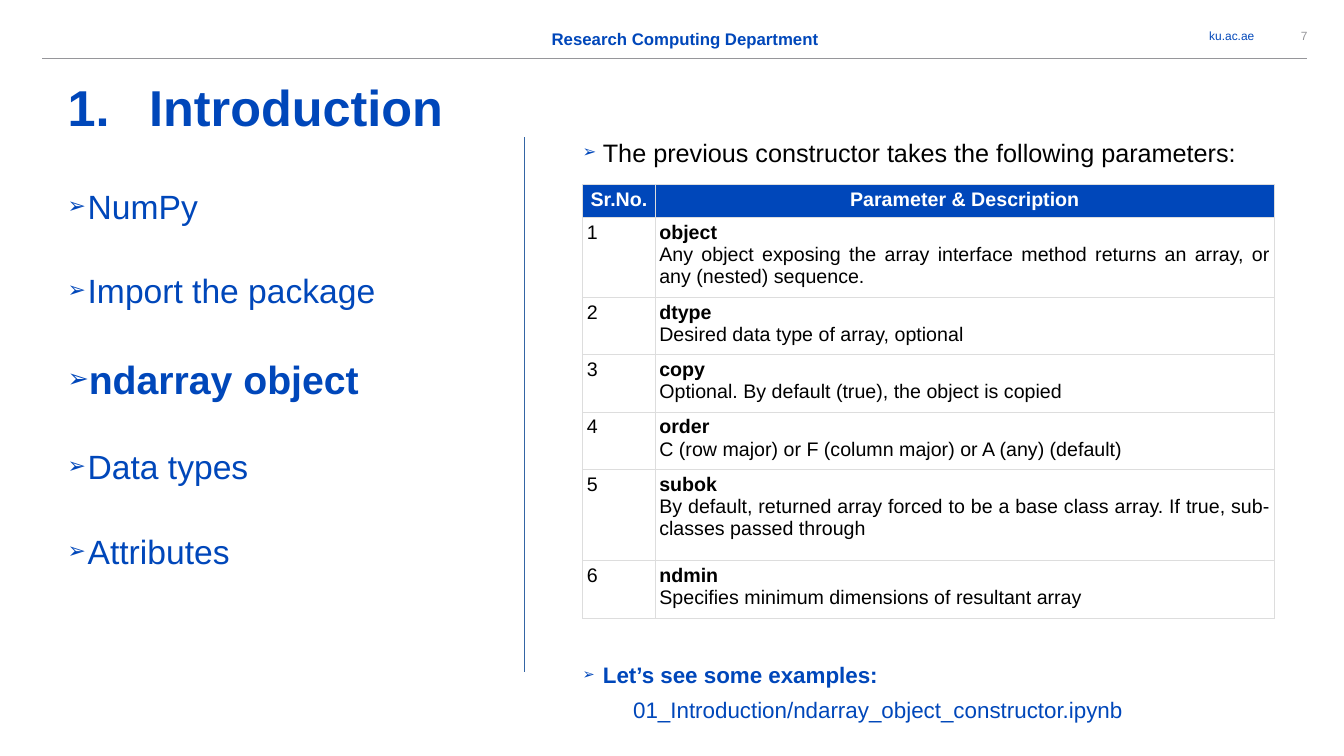
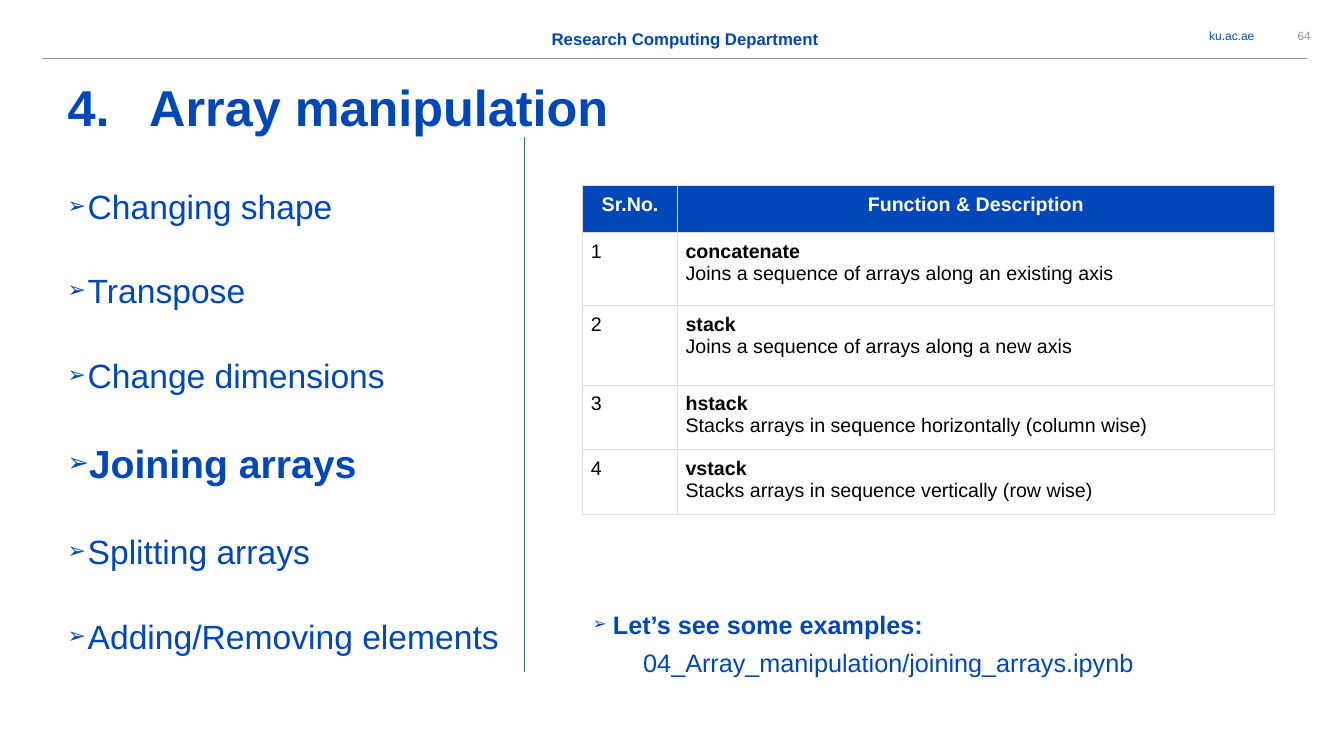
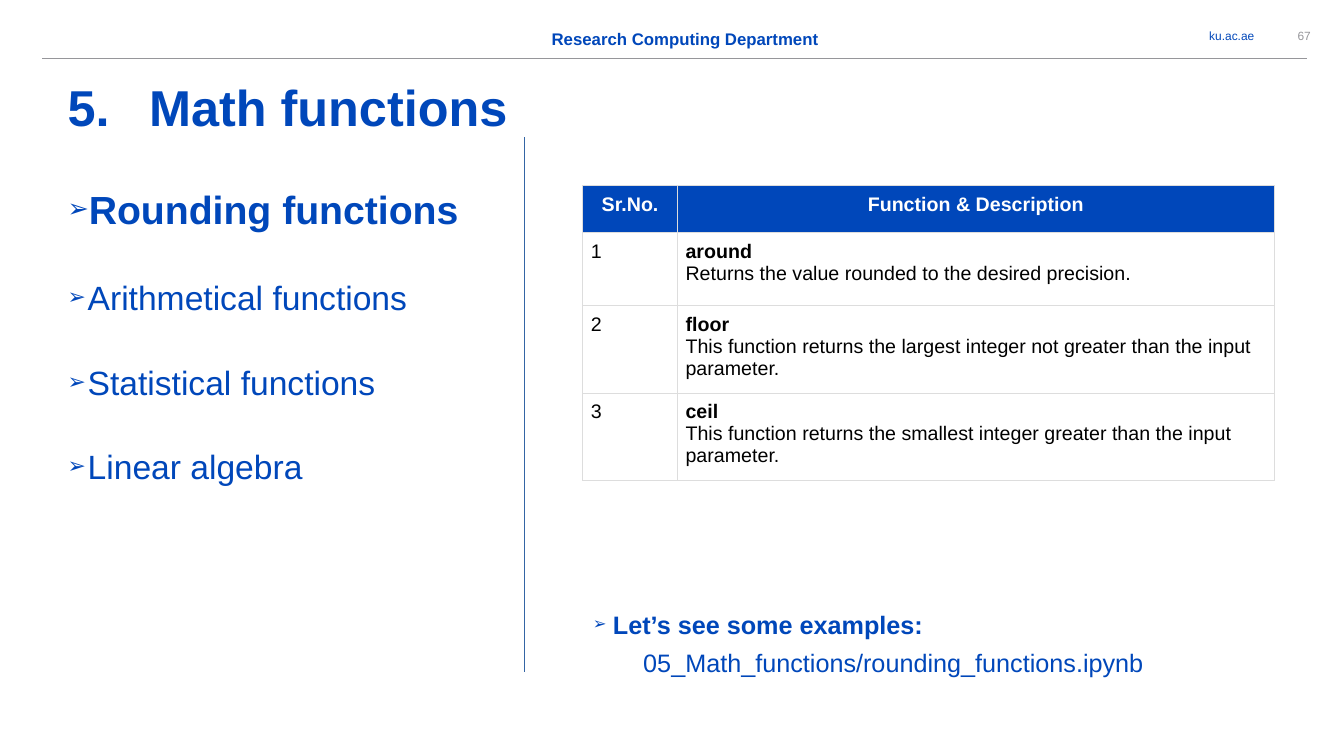
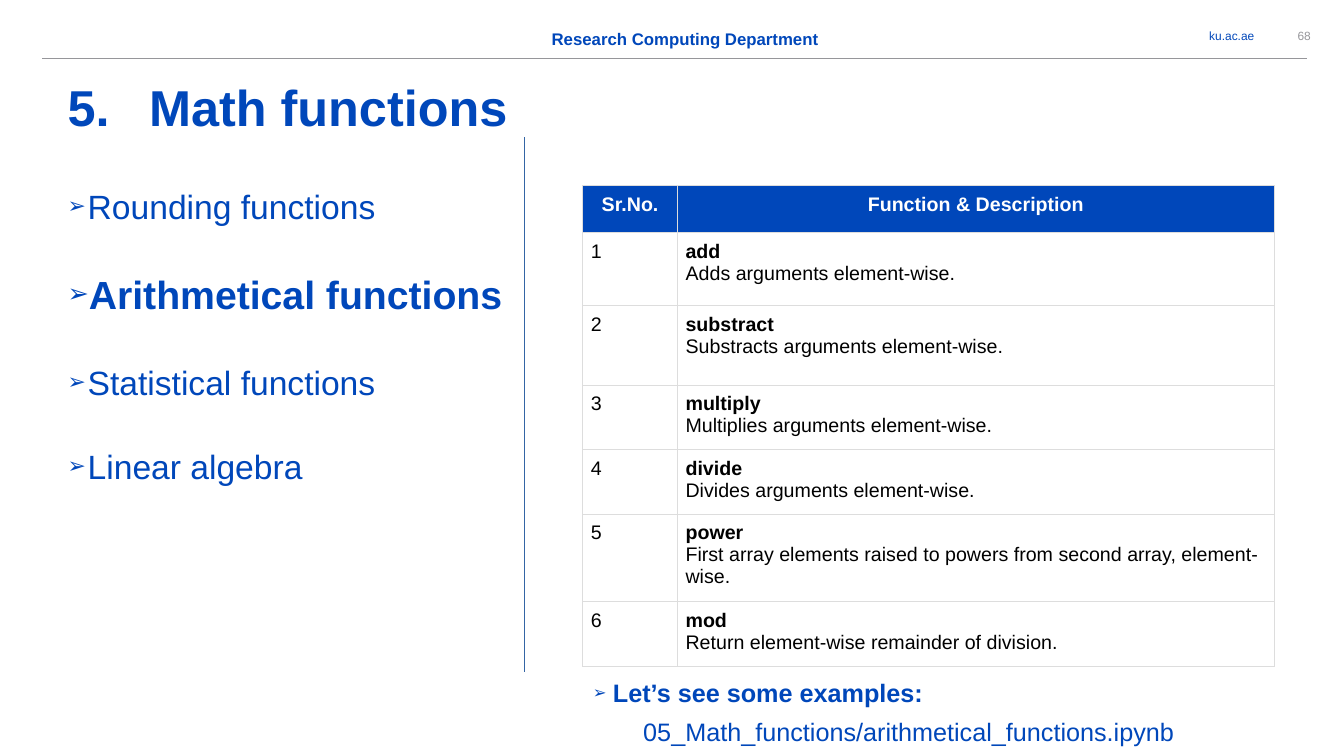
from lxml import etree
from pptx import Presentation
from pptx.dml.color import RGBColor
from pptx.enum import shapes, text
from pptx.oxml import parse_xml
from pptx.oxml.ns import nsdecls
from pptx.util import Inches, Pt

BLUE, GRAY, RULE, GRID = "0047BA", "96969A", "3465A4", "DDDDDD"
WHITE, BLACK = "FFFFFF", "000000"
FONT = "Arial"
LEFT, CENTER = text.PP_ALIGN.LEFT, text.PP_ALIGN.CENTER
RIGHT, JUSTIFY = text.PP_ALIGN.RIGHT, text.PP_ALIGN.JUSTIFY
NS = nsdecls("a")
ARROW = [
    f'<a:buClr {NS}><a:srgbClr val="{BLUE}"/></a:buClr>',
    f'<a:buSzPct {NS} val="65000"/>',
    f'<a:buFont {NS} typeface="{FONT}"/>',
    f'<a:buChar {NS} char="➢"/>',
]
color_of = RGBColor.from_string

CHAPTERS = [
    dict(
        page="7", number=1, title="Introduction",
        topics=["NumPy", "Import the package", "ndarray object", "Data types", "Attributes"],
        current="ndarray object",
        intro="The previous constructor takes the following parameters:",
        heading="Parameter & Description",
        entries=[
            ("object", "Any object exposing the array interface method returns an array, "
                       "or any (nested) sequence."),
            ("dtype", "Desired data type of array, optional"),
            ("copy", "Optional. By default (true), the object is copied"),
            ("order", "C (row major) or F (column major) or A (any) (default)"),
            ("subok", "By default, returned array forced to be a base class array. "
                      "If true, sub-classes passed through"),
            ("ndmin", "Specifies minimum dimensions of resultant array"),
        ],
        top=1.83, columns=[0.72, 6.14], margin=0.04, align=JUSTIFY,
        rows=[0.33, 0.79, 0.57, 0.57, 0.57, 0.9, 0.58],
        notebook="01_Introduction/ndarray_object_constructor.ipynb",
        notebook_at=(5.78, 6.56), notebook_size=16,
    ),
    dict(
        page="64", number=4, title="Array manipulation",
        topics=["Changing shape", "Transpose", "Change dimensions", "Joining arrays",
                "Splitting arrays", "Adding/Removing elements"],
        current="Joining arrays",
        entries=[
            ("concatenate", "Joins a sequence of arrays along an existing axis"),
            ("stack", "Joins a sequence of arrays along a new axis"),
            ("hstack", "Stacks arrays in sequence horizontally (column wise)"),
            ("vstack", "Stacks arrays in sequence vertically (row wise)"),
        ],
        rows=[0.47, 0.72, 0.79, 0.64, 0.64],
        notebook="04_Array_manipulation/joining_arrays.ipynb",
    ),
    dict(
        page="67", number=5, title="Math functions",
        topics=["Rounding functions", "Arithmetical functions", "Statistical functions",
                "Linear algebra"],
        current="Rounding functions",
        entries=[
            ("around", "Returns the value rounded to the desired precision."),
            ("floor", "This function returns the largest integer not greater than "
                      "the input parameter."),
            ("ceil", "This function returns the smallest integer greater than "
                     "the input parameter."),
        ],
        rows=[0.47, 0.72, 0.87, 0.87],
        notebook="05_Math_functions/rounding_functions.ipynb",
    ),
    dict(
        page="68", number=5, title="Math functions",
        topics=["Rounding functions", "Arithmetical functions", "Statistical functions",
                "Linear algebra"],
        current="Arithmetical functions",
        entries=[
            ("add", "Adds arguments element-wise."),
            ("substract", "Substracts arguments element-wise."),
            ("multiply", "Multiplies arguments element-wise."),
            ("divide", "Divides arguments element-wise."),
            ("power", "First array elements raised to powers from second array, element-wise."),
            ("mod", "Return element-wise remainder of division."),
        ],
        rows=[0.47, 0.72, 0.79, 0.64, 0.64, 0.87, 0.64],
        notebook="05_Math_functions/arithmetical_functions.ipynb",
        notebook_at=(5.88, 6.72),
    ),
]
DEFAULTS = dict(
    intro=None, heading="Function & Description", top=1.84, columns=[0.94, 5.92],
    margin=0.08, align=LEFT, notebook_at=(5.88, 6.04), notebook_size=18,
)


def add_frame(slide, left, top, width, height, anchor=text.MSO_ANCHOR.TOP):
    """Add a wrapping text box without margins and return its text frame."""
    box = slide.shapes.add_textbox(Inches(left), Inches(top), Inches(width), Inches(height))
    frame = box.text_frame
    frame.word_wrap = True
    frame.vertical_anchor = anchor
    frame.margin_left = frame.margin_top = frame.margin_right = frame.margin_bottom = 0
    return frame


def write(frame, line, size, color=BLUE, bold=False, align=LEFT, before=0, indent=0, bullet=()):
    """Fill the empty first paragraph of the frame, or append one spaced from the last."""
    paragraph = frame.paragraphs[0]
    if paragraph.runs:
        paragraph = frame.add_paragraph()
        paragraph.space_before = Pt(before)
    paragraph.text = line
    paragraph.alignment = align
    properties = paragraph._p.get_or_add_pPr()
    if indent:
        properties.set("marL", str(Inches(indent)))
        properties.set("indent", str(Inches(-indent if bullet else 0)))
    for element in bullet:
        properties.append(parse_xml(element))
    font = paragraph.runs[0].font
    font.name, font.size, font.bold = FONT, Pt(size), bold
    font.color.rgb = color_of(color)


prs = Presentation()
prs.slide_width, prs.slide_height = Inches(13.33), Inches(7.5)
MIDDLE = text.MSO_ANCHOR.MIDDLE

for chapter in CHAPTERS:
    chapter = DEFAULTS | chapter
    slide = prs.slides.add_slide(prs.slide_layouts[6])

    # Header band, title and dividers
    write(add_frame(slide, 11.39, 0.22, 1.05, 0.26, MIDDLE), "ku.ac.ae", 8.5, align=RIGHT)
    write(add_frame(slide, 12.65, 0.22, 0.57, 0.26, MIDDLE), chapter["page"], 8.5, GRAY,
          align=CENTER)
    write(add_frame(slide, 5.2, 0.29, 3.19, 0.2), "Research Computing Department", 12,
          bold=True, align=CENTER)
    numbering = [f'<a:buFont {NS} typeface="{FONT}"/>',
                 f'<a:buAutoNum {NS} type="arabicPeriod" startAt="{chapter["number"]}"/>']
    write(add_frame(slide, 0.67, 0.76, 11.99, 0.61), chapter["title"], 36, bold=True,
          indent=0.81, bullet=numbering)
    for x1, y1, x2, y2, color in [(0.42, 0.58, 12.96, 0.58, GRAY), (5.2, 1.36, 5.2, 6.67, RULE)]:
        divider = slide.shapes.add_connector(
            shapes.MSO_CONNECTOR.STRAIGHT, Inches(x1), Inches(y1), Inches(x2), Inches(y2))
        divider.line.color.rgb = color_of(color)
        divider.line.width = Pt(0.75)
        divider._element.spPr.append(parse_xml(f"<a:effectLst {NS}/>"))

    # Topics, with the current one emphasised
    topics = add_frame(slide, 0.67, 1.84, 4.53, 4.96)
    for topic in chapter["topics"]:
        current = topic == chapter["current"]
        write(topics, topic, 28 if current else 24, bold=current, before=31.7,
              indent=0.2, bullet=ARROW)

    if chapter["intro"]:
        write(add_frame(slide, 5.78, 1.36, 6.86, 0.3), chapter["intro"], 18, BLACK,
              indent=0.2, bullet=ARROW)

    # Reference table
    rows, columns = chapter["rows"], chapter["columns"]
    table = slide.shapes.add_table(
        len(rows), len(columns), Inches(5.78), Inches(chapter["top"]),
        Inches(sum(columns)), Inches(sum(rows))).table
    table.horz_banding = False
    for row, height in zip(table.rows, rows):
        row.height = Inches(height)
    for column, width in zip(table.columns, columns):
        column.width = Inches(width)
    for cell in table.iter_cells():
        cell.margin_left = cell.margin_right = Inches(chapter["margin"])
        cell.margin_top = cell.margin_bottom = Inches(chapter["margin"])
        for side in ("lnL", "lnR", "lnT", "lnB"):
            cell._tc.get_or_add_tcPr().append(parse_xml(
                f'<a:{side} {NS} w="{Pt(0.75)}"><a:solidFill><a:srgbClr val="{GRID}"/>'
                f"</a:solidFill></a:{side}>"))
        cell.fill.background()
    for column, heading in enumerate(["Sr.No.", chapter["heading"]]):
        cell = table.cell(0, column)
        cell.fill.solid()
        cell.fill.fore_color.rgb = color_of(BLUE)
        write(cell.text_frame, heading, 14, WHITE, bold=True, align=CENTER)
    for number, (name, description) in enumerate(chapter["entries"], 1):
        write(table.cell(number, 0).text_frame, str(number), 14, BLACK)
        entry = table.cell(number, 1).text_frame
        write(entry, name, 14, BLACK, bold=True, align=chapter["align"])
        write(entry, description, 14, BLACK, align=chapter["align"])

    # Notebook with examples
    size = chapter["notebook_size"]
    examples = add_frame(slide, *chapter["notebook_at"], 6.3, 0.69)
    write(examples, "Let’s see some examples:", size, bold=True, indent=0.2, bullet=ARROW)
    write(examples, chapter["notebook"], size, before=6, indent=0.5)

prs.save("out.pptx")
